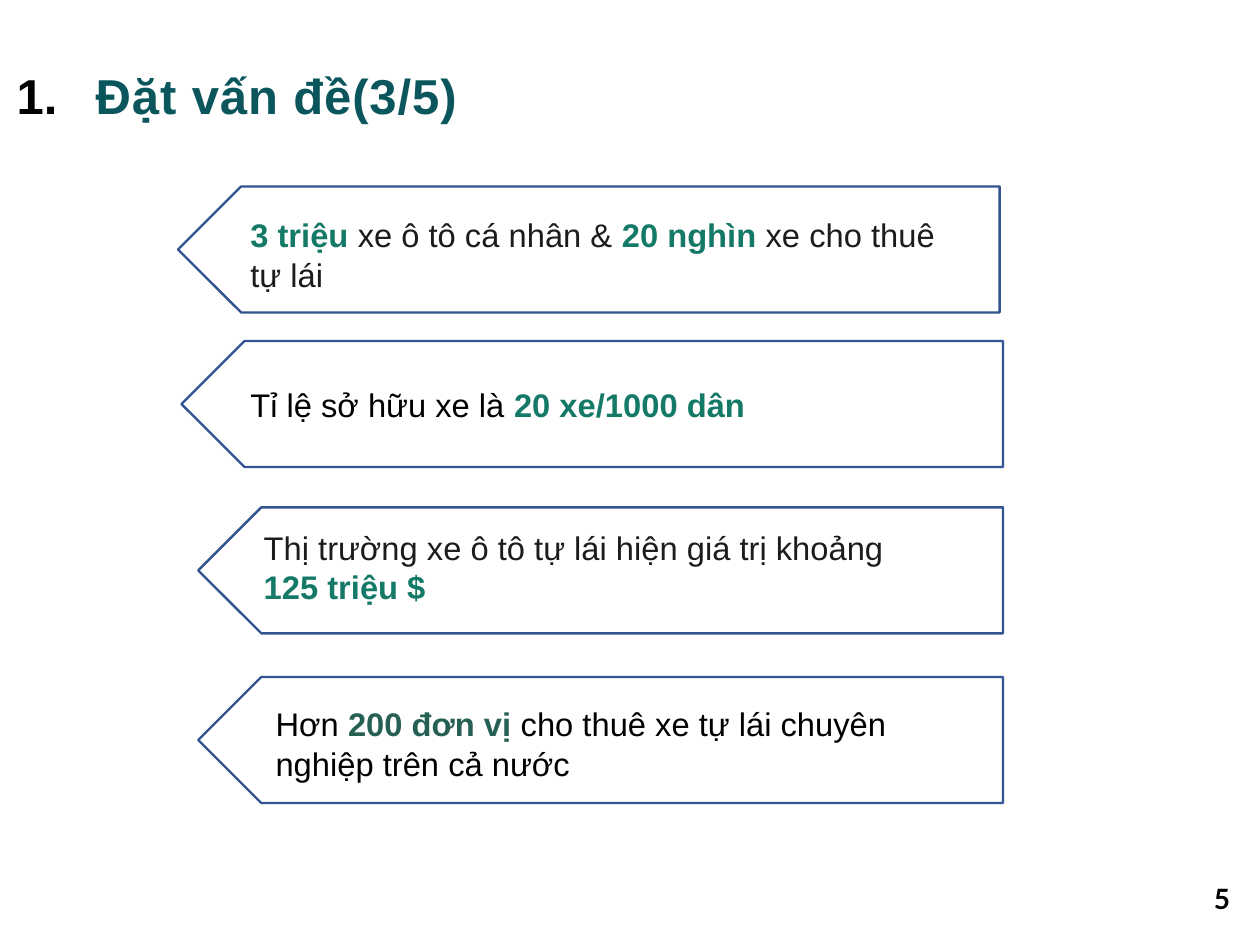
from lxml import etree
from pptx import Presentation
from pptx.dml.color import RGBColor
from pptx.enum import shapes, text
from pptx.oxml.ns import qn
from pptx.util import Inches, Pt

BLACK, DARK, GREEN, PINE, TEAL = "000000", "1C1C1C", "157968", "265F53", "0B565C"
BODY = {"size": Pt(14), "name": "Arial"}
TITLE = {"size": Pt(21), "name": "Arial"}
NUMBER = {"size": Pt(12), "name": "Lato"}

# Each run: wording, colour, bold
title_runs = [("Đặt vấn đề(3/5)", TEAL, True)]
page_runs = [("5", BLACK, True)]

# Each fact: arrow left and top, text box, runs
facts = [
    ((1.06, 1.11), (1.45, 1.18, 4.32, 0.67), [
        ("3 triệu ", GREEN, True), ("xe ô tô cá nhân & ", DARK, False),
        ("20 nghìn ", GREEN, True), ("xe cho thuê tự lái", DARK, False)]),
    ((1.08, 2.03), (1.45, 2.2, 4.32, 0.42), [
        ("Tỉ lệ sở hữu xe là ", BLACK, False), ("20 xe/1000 dân", GREEN, True)]),
    ((1.18, 3.02), (1.53, 3.04, 4.1, 0.67), [
        ("Thị trường xe ô tô tự lái hiện giá trị khoảng ", DARK, False),
        ("125 triệu $", GREEN, True)]),
    ((1.18, 4.03), (1.6, 4.18, 4.32, 0.49), [
        ("Hơn ", BLACK, False), ("200 đơn vị ", PINE, True),
        ("cho thuê xe tự lái chuyên nghiệp trên cả nước", BLACK, False)]),
]
SLIDE_WIDTH = Inches(7.5)
SLIDE_HEIGHT = SLIDE_WIDTH * 3 // 4
ARROW_RIGHT, ARROW_HEIGHT = 5.97, 0.75
LONGEST_ARROW = 4.89


def colour(value):
    return RGBColor.from_string(value)


def add_text(parent, box, runs, font_format, margins, anchor=text.MSO_ANCHOR.MIDDLE):
    """Add a wrapped text box with one paragraph and return that paragraph."""
    frame = parent.add_textbox(*map(Inches, box)).text_frame
    frame.word_wrap = True
    frame.vertical_anchor = anchor
    for side, margin in zip(("left", "top", "right", "bottom"), margins):
        setattr(frame, f"margin_{side}", Inches(margin))
    paragraph = frame.paragraphs[0]
    for wording, run_colour, bold in runs:
        run = paragraph.add_run()
        run.text = wording
        for name, value in {**font_format, "bold": bold}.items():
            setattr(run.font, name, value)
        run.font.color.rgb = colour(run_colour)
    return paragraph


def add_arrow(parent, left, top):
    width = min(LONGEST_ARROW, ARROW_RIGHT - left)
    arrow = parent.add_shape(shapes.MSO_SHAPE.PENTAGON,
                             *map(Inches, (left, top, width, ARROW_HEIGHT)))
    arrow.rotation = 180
    arrow.adjustments[0] = 0.5
    arrow.shadow.inherit = False
    arrow.fill.solid()
    arrow.fill.fore_color.rgb = colour("FFFFFF")
    arrow.line.color.rgb = colour("31538F")
    arrow.line.width = Pt(1)


def number_paragraph(paragraph, indent):
    """Give the paragraph a black automatic number with a hanging indent."""
    properties = paragraph._p.get_or_add_pPr()
    properties.set("marL", str(Inches(indent)))
    properties.set("indent", str(-Inches(indent)))
    bullet_colour = etree.SubElement(properties, qn("a:buClr"))
    etree.SubElement(bullet_colour, qn("a:srgbClr"), val=BLACK)
    etree.SubElement(properties, qn("a:buFont"), typeface="Arial")
    etree.SubElement(properties, qn("a:buAutoNum"), type="arabicPeriod")


def main():
    presentation = Presentation()
    presentation.slide_width, presentation.slide_height = SLIDE_WIDTH, SLIDE_HEIGHT
    slide = presentation.slides.add_slide(presentation.slide_layouts[6])

    page = add_text(slide.shapes, (6.97, 5.13, 0.45, 0.43), page_runs, NUMBER, [0.1] * 4)
    page.alignment = text.PP_ALIGN.RIGHT

    for arrow_place, text_box, runs in reversed(facts):
        group = slide.shapes.add_group_shape()
        add_arrow(group.shapes, *arrow_place)
        add_text(group.shapes, text_box, runs, BODY, [0.04] * 4)

    title = add_text(slide.shapes, (0.03, 0.35, 3.4, 0.43), title_runs, TITLE,
                     (0.07, 0.04, 0.07, 0.04), text.MSO_ANCHOR.TOP)
    number_paragraph(title, 0.47)
    title.runs[0].font._element.set("spc", "40")

    presentation.save("out.pptx")


if __name__ == "__main__":
    main()
